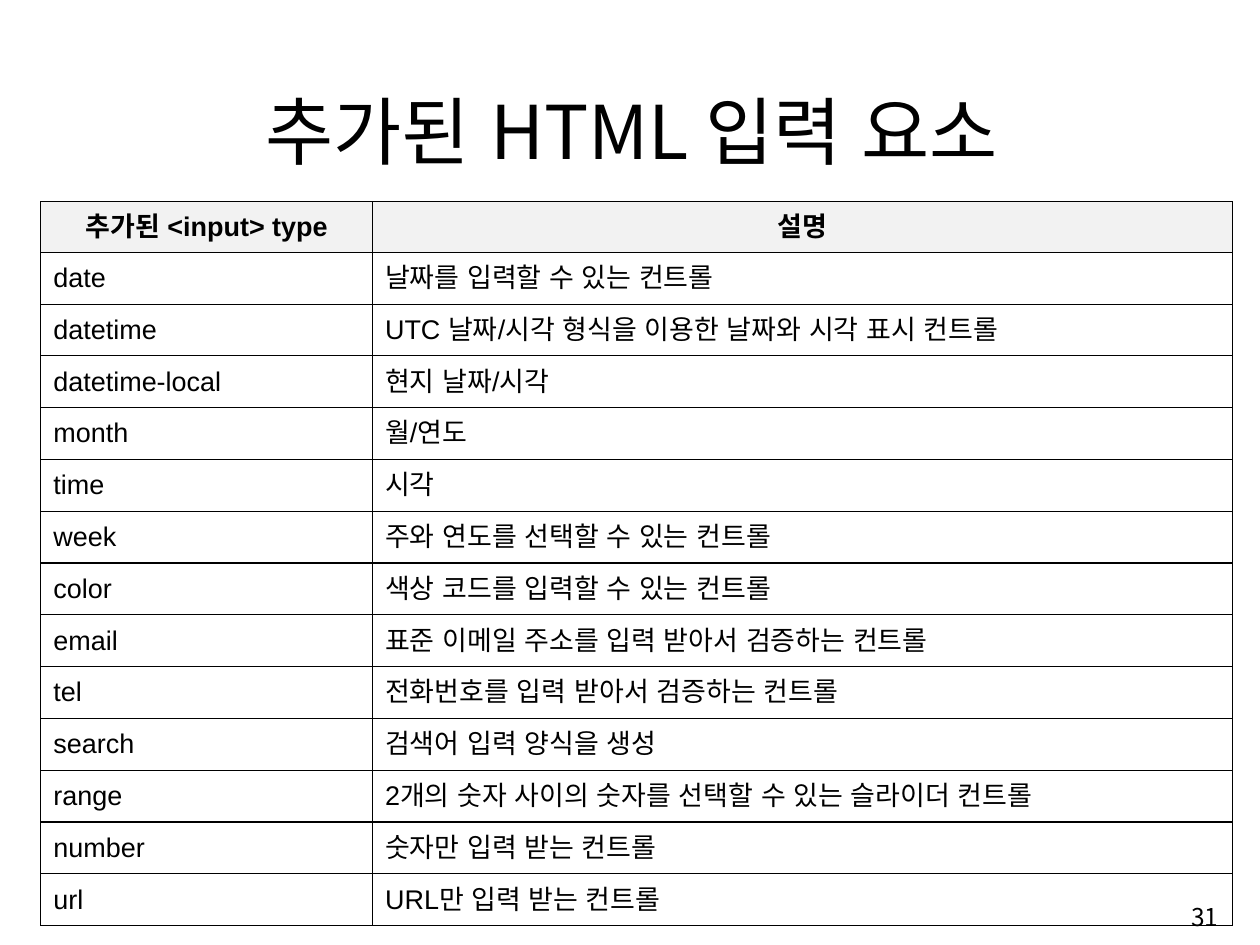
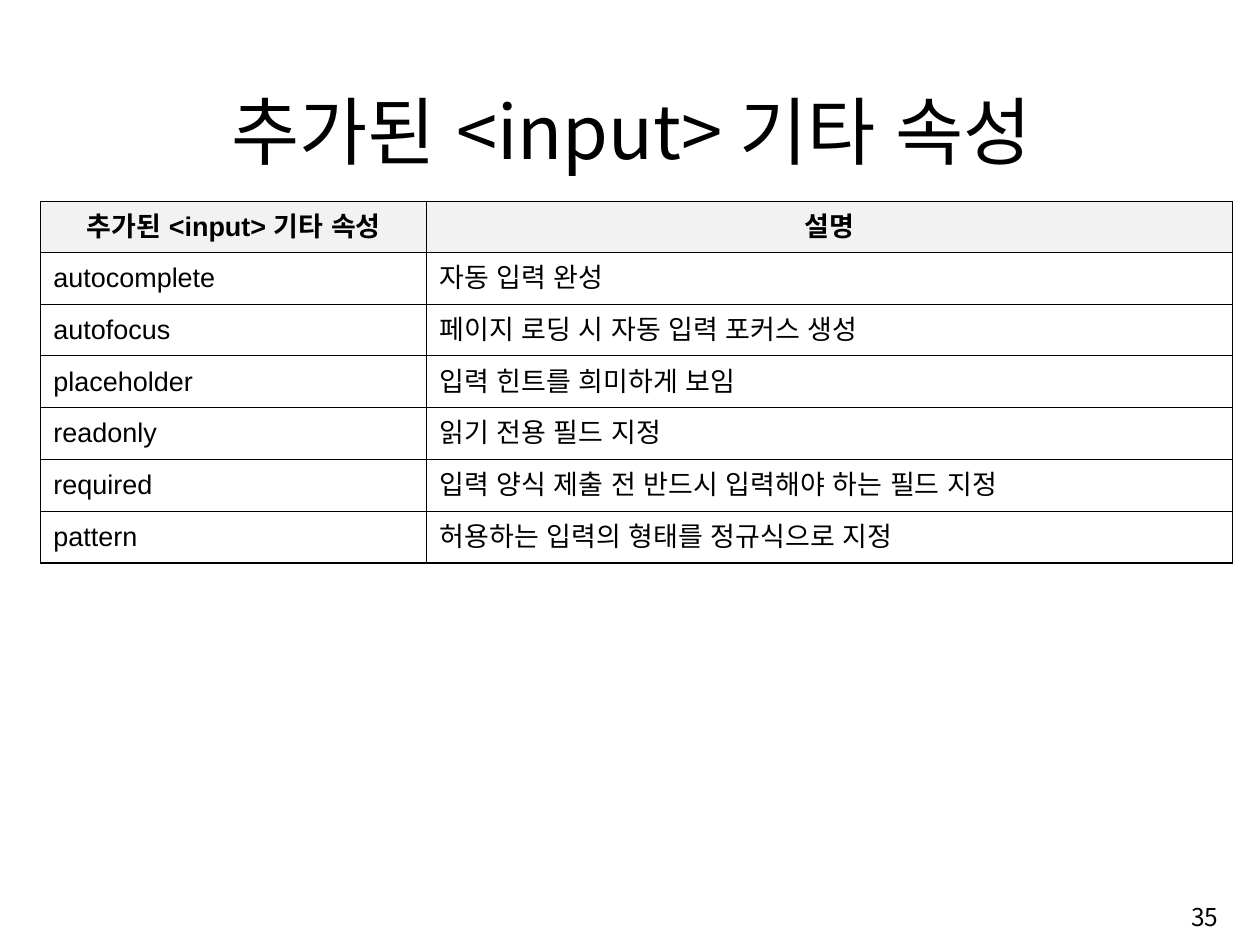
from dataclasses import dataclass

from lxml.etree import SubElement
from pptx import Presentation
from pptx.dml.color import RGBColor
from pptx.enum.text import MSO_ANCHOR, MSO_AUTO_SIZE, PP_ALIGN
from pptx.oxml import parse_xml
from pptx.oxml.ns import nsdecls, qn
from pptx.slide import Slide
from pptx.table import _Cell
from pptx.text.text import TextFrame, _Paragraph
from pptx.util import Inches, Pt

# Shared look
WIDE, HIGH = 12.99, 9.74
BLACK = RGBColor(0x00, 0x00, 0x00)
GRAY = RGBColor(0xF2, 0xF2, 0xF2)
ARIAL, NOTO = "Arial", "Noto Sans CJK KR"
PAD_X, PAD_Y = 0.13, 0.06
TITLE_ONLY = 5

# Table grid, in inches; row heights in points
LEFT, TOP, SPAN = 0.42, 2.08, 12.29
HEAD_ROW, BODY_ROW = 37.5, 38.45


@dataclass(frozen=True)
class Page:
    number: int
    title: str
    first: float  # width of the name column
    head: tuple[str, str]
    rows: tuple[tuple[str, str], ...]


PAGES = (
    Page(31, "추가된 HTML 입력 요소", 3.42, ("추가된 <input> type", "설명"), (
        ("date", "날짜를 입력할 수 있는 컨트롤"),
        ("datetime", "UTC 날짜/시각 형식을 이용한 날짜와 시각 표시 컨트롤"),
        ("datetime-local", "현지 날짜/시각"),
        ("month", "월/연도"),
        ("time", "시각"),
        ("week", "주와 연도를 선택할 수 있는 컨트롤"),
        ("color", "색상 코드를 입력할 수 있는 컨트롤"),
        ("email", "표준 이메일 주소를 입력 받아서 검증하는 컨트롤"),
        ("tel", "전화번호를 입력 받아서 검증하는 컨트롤"),
        ("search", "검색어 입력 양식을 생성"),
        ("range", "2개의 숫자 사이의 숫자를 선택할 수 있는 슬라이더 컨트롤"),
        ("number", "숫자만 입력 받는 컨트롤"),
        ("url", "URL만 입력 받는 컨트롤"),
    )),
    Page(35, "추가된 <input> 기타 속성", 3.98, ("추가된 <input> 기타 속성", "설명"), (
        ("autocomplete", "자동 입력 완성"),
        ("autofocus", "페이지 로딩 시 자동 입력 포커스 생성"),
        ("placeholder", "입력 힌트를 희미하게 보임"),
        ("readonly", "읽기 전용 필드 지정"),
        ("required", "입력 양식 제출 전 반드시 입력해야 하는 필드 지정"),
        ("pattern", "허용하는 입력의 형태를 정규식으로 지정"),
    )),
)


def style(para: _Paragraph, size: float, font: str, align: PP_ALIGN,
          bold: bool = False) -> None:
    para.alignment = align
    for run in para.runs:
        face = run.font
        face.size, face.bold = Pt(size), bold
        face.color.rgb = BLACK
        face.name = font
        # Arial gives the Korean text its wider word gaps
        SubElement(run._r.get_or_add_rPr(), qn("a:ea")).set("typeface", ARIAL)


def pad(box: TextFrame | _Cell) -> None:
    box.margin_left = box.margin_right = Inches(PAD_X)
    box.margin_top = box.margin_bottom = Inches(PAD_Y)


def edge(cell: _Cell) -> None:
    """Draw a thin black line on all four sides."""
    props = cell._tc.get_or_add_tcPr()
    for spot, side in enumerate(("lnL", "lnR", "lnT", "lnB")):
        props.insert(spot, parse_xml(
            f'<a:{side} {nsdecls("a")} w="{Pt(1)}"><a:solidFill>'
            f'<a:srgbClr val="{BLACK}"/></a:solidFill></a:{side}>'))


def add_title(slide: Slide, text: str) -> None:
    title = slide.shapes.title
    title.left, title.top = Inches(1.21), Inches(0.78)
    title.width, title.height = Inches(10.61), Inches(1.08)
    frame = title.text_frame
    frame.text = text
    frame.auto_size = MSO_AUTO_SIZE.NONE
    frame.vertical_anchor = MSO_ANCHOR.BOTTOM
    pad(frame)
    style(frame.paragraphs[0], 55, NOTO, PP_ALIGN.CENTER)


def add_grid(slide: Slide, page: Page) -> None:
    lines = (page.head, *page.rows)
    table = slide.shapes.add_table(
        len(lines), 2, Inches(LEFT), Inches(TOP), Inches(SPAN),
        Pt(HEAD_ROW + BODY_ROW * len(page.rows))).table
    table.horz_banding = table.first_row = False
    table.columns[0].width = Inches(page.first)
    table.columns[1].width = Inches(SPAN - page.first)
    for r, line in enumerate(lines):
        head = r == 0
        table.rows[r].height = Pt(HEAD_ROW if head else BODY_ROW)
        for c, text in enumerate(line):
            cell = table.cell(r, c)
            cell.text_frame.text = text
            cell.vertical_anchor = MSO_ANCHOR.MIDDLE
            pad(cell)
            if head:
                cell.fill.solid()
                cell.fill.fore_color.rgb = GRAY
            else:
                cell.fill.background()
            edge(cell)
            style(cell.text_frame.paragraphs[0], 20, ARIAL,
                  PP_ALIGN.CENTER if head else PP_ALIGN.LEFT, head)


def add_number(slide: Slide, number: int) -> None:
    box = slide.shapes.add_textbox(
        Inches(9.98), Inches(9.15), Inches(2.68), Inches(0.6))
    frame = box.text_frame
    frame.word_wrap = True
    frame.vertical_anchor = MSO_ANCHOR.MIDDLE
    frame.text = str(number)
    style(frame.paragraphs[0], 18.2, NOTO, PP_ALIGN.RIGHT)


def main() -> None:
    deck = Presentation()
    deck.slide_width, deck.slide_height = Inches(WIDE), Inches(HIGH)
    for page in PAGES:
        slide = deck.slides.add_slide(deck.slide_layouts[TITLE_ONLY])
        add_grid(slide, page)
        add_number(slide, page.number)
        add_title(slide, page.title)
    deck.save("out.pptx")


if __name__ == "__main__":
    main()
